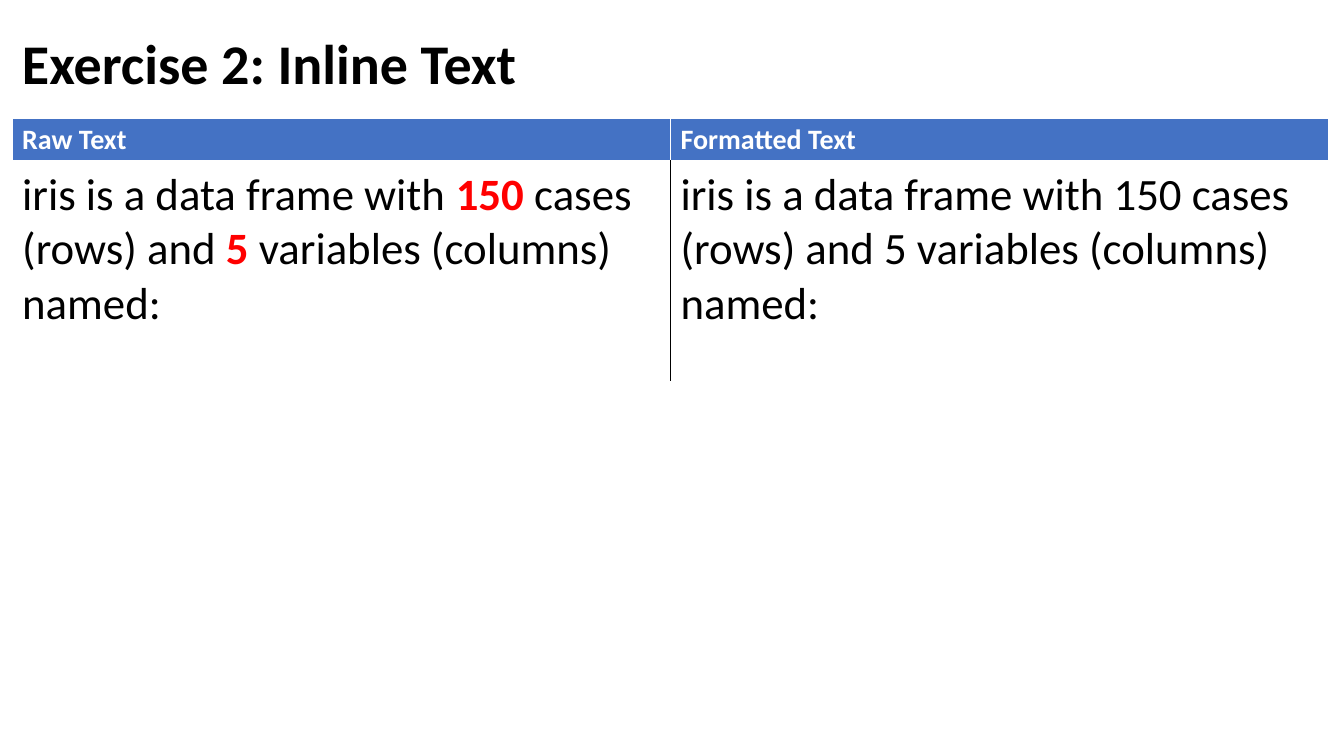
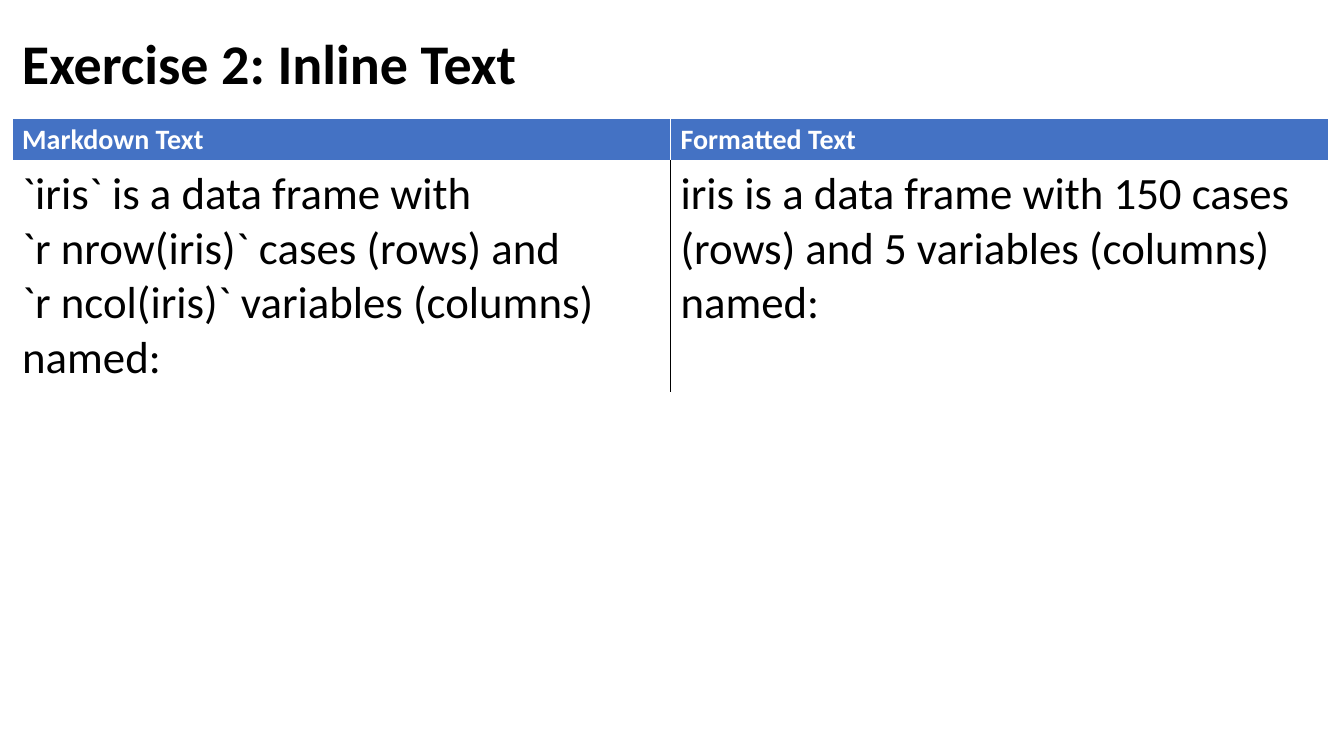
from lxml import etree
from pptx import Presentation
from pptx.dml.color import RGBColor
from pptx.enum import text
from pptx.oxml import ns
from pptx.util import Inches, Pt

# Content: each cell is a list of paragraphs, each paragraph a list of (words, style)
TITLE = "Exercise 2: Inline Text"
FORMATTED = [[("iris is a data frame with 150 cases (rows) and 5 variables (columns) named:", "body")]]
RAW = [[
    ("iris is a data frame with ", "body"),
    ("150", "accent"),
    (" cases (rows) and ", "body"),
    ("5", "accent"),
    (" variables (columns) named:", "body"),
]]
MARKDOWN = [
    [("`iris` is a data frame with", "body")],
    [("`r nrow(iris)` cases (rows) and", "body")],
    [("`r ncol(iris)` variables (columns) named:", "body")],
]
SLIDES = [
    {"heading": "Raw Text", "source": RAW, "body_height": 2.16},
    {"heading": "Markdown Text", "source": MARKDOWN, "body_height": 2.28},
]

# Shared look
WHITE, BLACK, RED, BLUE = "FFFFFF", "000000", "FF0000", "4472C4"
STYLES = {
    "title": ({"size": Pt(40), "bold": True}, BLACK),
    "header": ({"size": Pt(20), "bold": True}, WHITE),
    "body": ({"size": Pt(32), "bold": False}, BLACK),
    "accent": ({"size": Pt(32), "bold": True}, RED),
}
LEFT, TABLE_TOP = 0.12, 1.17
COLUMN_WIDTH, HEADER_HEIGHT = 6.53, 0.42


def color(value):
    return RGBColor.from_string(value)


def write(frame, paragraphs):
    for index, spans in enumerate(paragraphs):
        para = frame.add_paragraph() if index else frame.paragraphs[0]
        for words, style in spans:
            span = para.add_run()
            span.text = words
            settings, ink = STYLES[style]
            for name, value in {"name": "Calibri", **settings}.items():
                setattr(span.font, name, value)
            span.font.color.rgb = color(ink)


def add_borders(cell, borders):
    properties = cell._tc.get_or_add_tcPr()
    for side, (ink, points) in borders.items():
        line = etree.SubElement(properties, ns.qn(f"a:ln{side}"), w=str(Pt(points)))
        fill = etree.SubElement(line, ns.qn("a:solidFill"))
        etree.SubElement(fill, ns.qn("a:srgbClr"), val=ink)


def add_title(page):
    box = page.shapes.add_textbox(Inches(LEFT), Inches(0.23), Inches(5.16), Inches(0.77))
    box.text_frame.word_wrap = False
    box.text_frame.auto_size = text.MSO_AUTO_SIZE.SHAPE_TO_FIT_TEXT
    write(box.text_frame, [[(TITLE, "title")]])


def add_comparison(page, heading, source, body_height):
    heights = [HEADER_HEIGHT, body_height]
    rows = [
        [[[(label, "header")]] for label in (heading, "Formatted Text")],
        [source, FORMATTED],
    ]
    table = page.shapes.add_table(
        2, 2, Inches(LEFT), Inches(TABLE_TOP),
        Inches(2 * COLUMN_WIDTH), Inches(sum(heights))).table
    for column in table.columns:
        column.width = Inches(COLUMN_WIDTH)
    for r, (height, row) in enumerate(zip(heights, rows)):
        table.rows[r].height = Inches(height)
        for c, paragraphs in enumerate(row):
            cell = table.cell(r, c)
            write(cell.text_frame, paragraphs)
            # Only the line between the two body cells is black
            borders = {side: (WHITE, 1) for side in "LRTB"}
            if r == 0:
                borders["B"] = (WHITE, 3)
            else:
                borders["L" if c else "R"] = (BLACK, 1)
            add_borders(cell, borders)
            if r == 0:
                cell.fill.solid()
                cell.fill.fore_color.rgb = color(BLUE)
            else:
                cell.fill.background()


def main():
    deck = Presentation()
    deck.slide_width, deck.slide_height = Inches(13.33), Inches(7.5)
    for content in SLIDES:
        page = deck.slides.add_slide(deck.slide_layouts[6])
        add_comparison(page, **content)
        add_title(page)
    deck.save("out.pptx")


if __name__ == "__main__":
    main()
